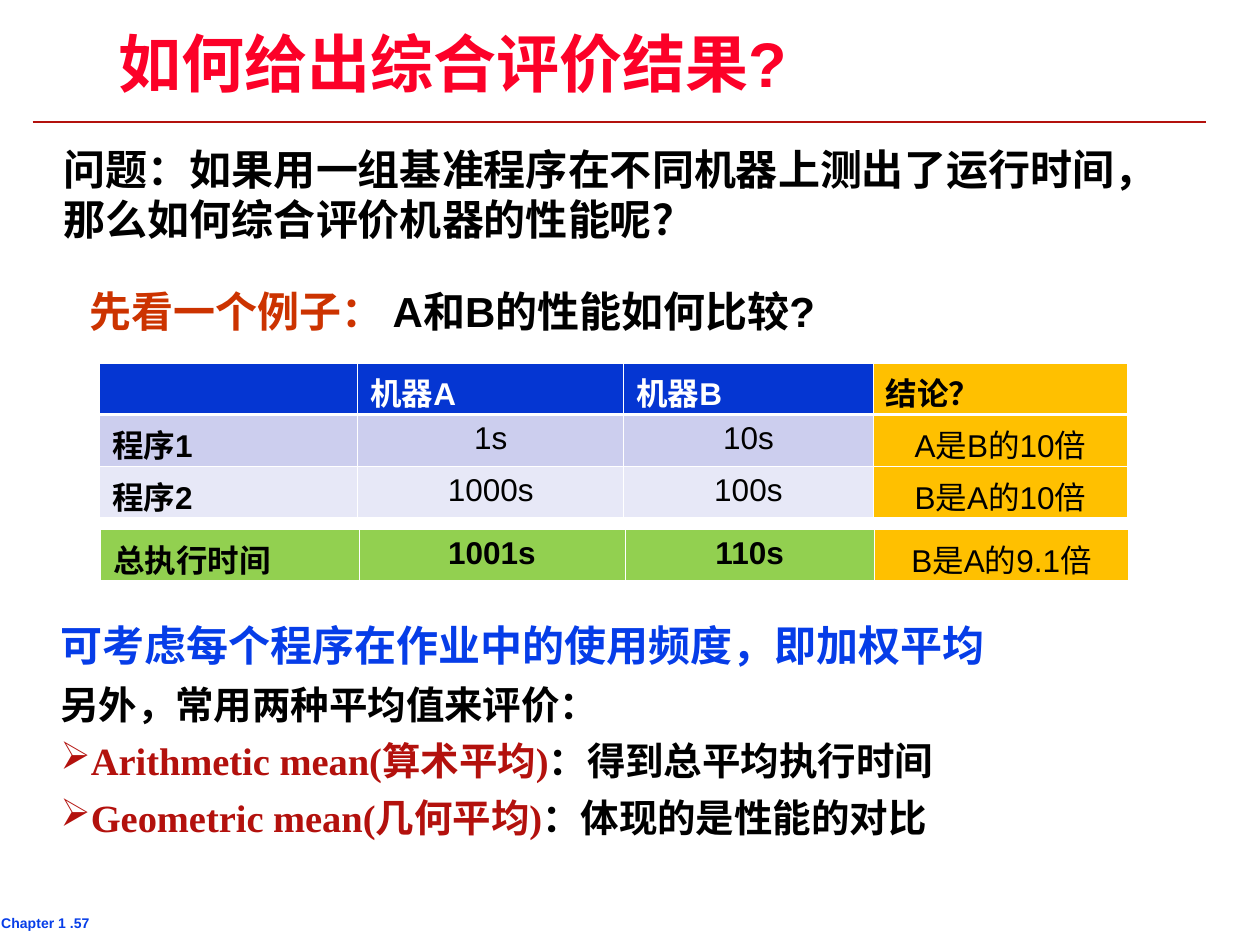
"""Build the slide on summarising benchmark results for two machines."""
from lxml import etree
from pptx import Presentation
from pptx import util as u
from pptx.dml.color import RGBColor
from pptx.enum import shapes, text
from pptx.oxml.ns import qn

THEME = {
    "red": "FC0128", "rule": "B3110D", "blue": "063DE8", "orange": "CC3300",
    "black": "000000", "white": "FFFFFF", "header": "0536D2", "band1": "CCCEEE",
    "band2": "E7E8F7", "total": "92D050", "verdict": "FFC000",
    "title": 36, "lead": 24, "body": 22, "cell": 18, "footer": 8,
    "sans": "Arial", "serif": "Times New Roman", "cjk": "Noto Sans CJK SC",
}

TITLE = "如何给出综合评价结果?"
FOOTER = "Chapter 1 .57"
QUESTION = [("lead", "cjk", False, [("问题：如果用一组基准程序在不同机器上测出了运行时间，那么如何综合评价机器的性能呢？", "black")])]
EXAMPLE = [("lead", "sans", False, [("先看一个例子： ", "orange"), ("A和B的性能如何比较?", "black")])]
MEANS = [
    ("lead", "sans", False, [("可考虑每个程序在作业中的使用频度，即加权平均", "blue")]),
    ("body", "serif", False, [("另外，常用两种平均值来评价：", "black")]),
    ("body", "serif", True, [("Arithmetic mean(算术平均)", "rule"), ("：得到总平均执行时间", "black")]),
    ("body", "serif", True, [("Geometric mean(几何平均)", "rule"), ("：体现的是性能的对比", "black")]),
]
TIMES = [
    ("header", ["", "机器A", "机器B", "结论？"]),
    ("band1", ["程序1", "1s", "10s", "A是B的10倍"]),
    ("band2", ["程序2", "1000s", "100s", "B是A的10倍"]),
]
TOTALS = [("total", ["总执行时间", "1001s", "110s", "B是A的9.1倍"])]
COLUMNS = [2.05, 2.11, 1.98, 2.02]
ROW_HEIGHT = 0.41


def set_font(font, size, face, color=None, bold=True):
    font.size, font.name, font.bold = u.Pt(THEME[size]), THEME[face], bold
    if color:
        font.color.rgb = RGBColor.from_string(THEME[color])


def add_bullet(paragraph):
    props = paragraph._p.get_or_add_pPr()
    color = etree.SubElement(props, qn("a:buClr"))
    etree.SubElement(color, qn("a:srgbClr"), val=THEME["rule"])
    etree.SubElement(props, qn("a:buChar"), char="➢")


def set_frame(frame, side, edge):
    frame.word_wrap = True
    frame.auto_size = text.MSO_AUTO_SIZE.SHAPE_TO_FIT_TEXT
    frame.vertical_anchor = text.MSO_ANCHOR.TOP
    frame.margin_left = frame.margin_right = u.Inches(side)
    frame.margin_top = frame.margin_bottom = u.Inches(edge)


def add_text(slide, place, paragraphs, side=0.1, edge=0.05):
    frame = slide.shapes.add_textbox(*map(u.Inches, place)).text_frame
    set_frame(frame, side, edge)
    for index, (size, face, bulleted, parts) in enumerate(paragraphs):
        paragraph = frame.add_paragraph() if index else frame.paragraphs[0]
        if index:
            paragraph.space_before = u.Pt(6)
        if bulleted:
            add_bullet(paragraph)
        set_font(paragraph.font, size, face, parts[0][1] if len(parts) == 1 else None)
        for words, color in parts:
            run = paragraph.add_run()
            run.text = words
            if len(parts) > 1:
                run.font.color.rgb = RGBColor.from_string(THEME[color])


def add_borders(cell, top, bottom):
    props = cell._tc.get_or_add_tcPr()
    for side, width in (("L", 0.45), ("R", 0.45), ("T", top), ("B", bottom)):
        border = etree.SubElement(props, qn(f"a:ln{side}"), w=str(u.Pt(width)))
        fill = etree.SubElement(border, qn("a:solidFill"))
        etree.SubElement(fill, qn("a:srgbClr"), val=THEME["white"])


def add_times(slide, left, top, rows):
    table = slide.shapes.add_table(
        len(rows), len(COLUMNS), u.Inches(left), u.Inches(top),
        u.Inches(sum(COLUMNS)), u.Inches(ROW_HEIGHT * len(rows))).table
    table.first_row = table.horz_banding = False
    for column, width in zip(table.columns, COLUMNS):
        column.width = u.Inches(width)
    for r, (kind, words) in enumerate(rows):
        for c, word in enumerate(words):
            cell = table.cell(r, c)
            is_header, is_verdict = kind == "header", c == len(COLUMNS) - 1
            add_borders(cell, 1.47 if r == 1 else 0.45, 1.47 if r == 0 else 0.45)
            cell.fill.solid()
            cell.fill.fore_color.rgb = RGBColor.from_string(THEME["verdict" if is_verdict else kind])
            cell.text = word
            paragraph = cell.text_frame.paragraphs[0]
            if c and not is_header:
                paragraph.alignment = text.PP_ALIGN.CENTER
            bold = is_header or c == 0 or (kind == "total" and not is_verdict)
            color = "white" if is_header and not is_verdict else "black"
            set_font(paragraph.font, "cell", "sans", color, bold)


def add_title(slide):
    title = slide.shapes.title
    title.left, title.top, title.width, title.height = map(u.Inches, (0.87, 0.25, 5.97, 0.58))
    set_frame(title.text_frame, 0.07, 0.03)
    title.text_frame.text = TITLE
    paragraph = title.text_frame.paragraphs[0]
    paragraph.alignment = text.PP_ALIGN.LEFT
    paragraph.line_spacing = 0.87
    set_font(paragraph.font, "title", "sans", "red")


def add_rule(slide):
    rule = slide.shapes.add_connector(
        shapes.MSO_CONNECTOR.STRAIGHT, *map(u.Inches, (0.26, 0.97, 9.57, 0.97)))
    rule.line.color.rgb = RGBColor.from_string(THEME["rule"])
    rule.line.width = u.Pt(1)
    etree.SubElement(rule._element.spPr, qn("a:effectLst"))


def main():
    deck = Presentation()
    deck.slide_width, deck.slide_height = u.Inches(10), u.Inches(7.5)
    slide = deck.slides.add_slide(deck.slide_layouts[5])
    add_text(slide, (-0.06, 7.23, 1.26, 0.19),
             [("footer", "sans", False, [(FOOTER, "blue")])], 0.07, 0.03)
    add_rule(slide)
    add_title(slide)
    add_text(slide, (0.38, 4.87, 9.25, 1.85), MEANS)
    add_text(slide, (0.41, 1.09, 8.97, 0.9), QUESTION)
    add_text(slide, (0.61, 2.22, 7.86, 0.5), EXAMPLE)
    add_times(slide, 0.79, 2.88, TIMES)
    add_times(slide, 0.8, 4.2, TOTALS)
    deck.save("out.pptx")


if __name__ == "__main__":
    main()
